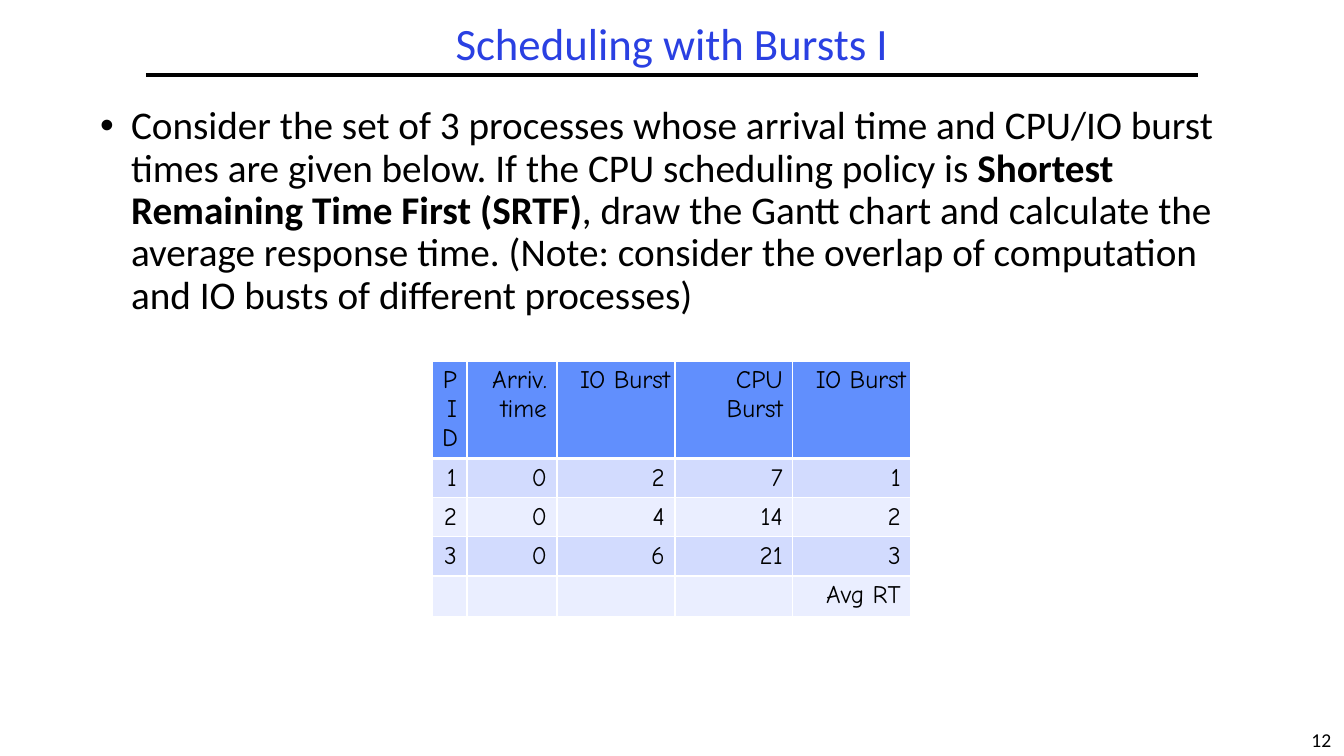
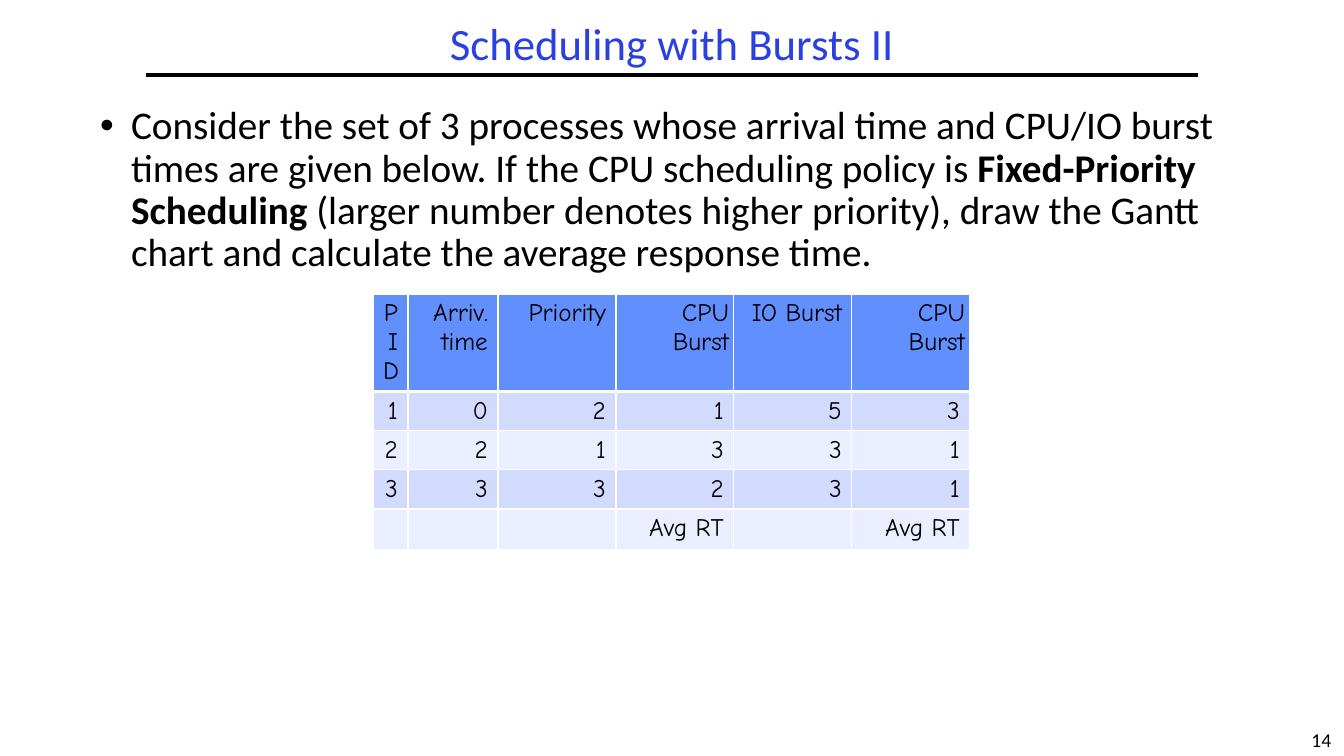
"""Two exercise slides on CPU scheduling with CPU and IO bursts."""
from lxml import etree
from pptx import Presentation
from pptx.dml.color import RGBColor
from pptx.enum.shapes import MSO_CONNECTOR
from pptx.enum.text import MSO_ANCHOR, MSO_AUTO_SIZE, PP_ALIGN
from pptx.oxml import parse_xml
from pptx.oxml.ns import nsdecls, qn
from pptx.util import Emu, Pt

SCALE = 914400 / 100.8
WIDTH, HEIGHT = 1344, 756
BLACK, WHITE, BLUE = "000000", "FFFFFF", "2A40E2"
HEADER, BANDS = "618FFD", ("EAEEFF", "D2DBFE")
COLS = [35, 90, 118, 118, 118, 118]
HEADER_H, ROW_H, TIGHT = 96, 39, 5

INTRO = ("Consider the set of 3 processes whose arrival time and CPU/IO burst "
         "times are given below. If the CPU scheduling policy is ")
SLIDES = [
    {"number": "12", "title": "Scheduling with Bursts I",
     "policy": "Shortest Remaining Time First (SRTF)",
     "task": ", draw the Gantt chart and calculate the average response time. "
             "(Note: consider the overlap of computation and IO busts of "
             "different processes)",
     "top": 361, "tight": (2, 4),
     "rows": [["PID", "Arriv. time", "IO Burst", "CPU Burst", "IO Burst"],
              ["1", "0", "2", "7", "1"],
              ["2", "0", "4", "14", "2"],
              ["3", "0", "6", "21", "3"],
              ["", "", "", "", "Avg RT"]]},
    {"number": "14", "title": "Scheduling with Bursts II",
     "policy": "Fixed-Priority Scheduling",
     "task": " (larger number denotes higher priority), draw the Gantt chart "
             "and calculate the average response time.",
     "top": 294, "tight": (3, 5),
     "rows": [["PID", "Arriv. time", "Priority", "CPU Burst", "IO Burst", "CPU Burst"],
              ["1", "0", "2", "1", "5", "3"],
              ["2", "2", "1", "3", "3", "1"],
              ["3", "3", "3", "2", "3", "1"],
              ["", "", "", "Avg RT", "", "Avg RT"]]},
]


def px(*lengths):
    return [Emu(round(n * SCALE)) for n in lengths]


def add_run(p, text, size, color=BLACK, bold=False, font="Calibri"):
    r = p.add_run()
    r.text = text
    r.font.name, r.font.size, r.font.bold = font, Pt(size), bold
    r.font.color.rgb = RGBColor.from_string(color)


prs = Presentation()
prs.slide_width, prs.slide_height = px(WIDTH, HEIGHT)
layout = prs.slide_layouts[1]

for ph, box in zip(layout.placeholders, ((146, 17, 1052, 58), (90, 101, 1165, 562))):
    ph.left, ph.top, ph.width, ph.height = px(*box)

for data in SLIDES:
    s = prs.slides.add_slide(layout)

    line = s.shapes.add_connector(MSO_CONNECTOR.STRAIGHT, *px(146, 75, 1198, 75))
    line.line.color.rgb = RGBColor.from_string(BLACK)
    line.line.width = Pt(3)
    etree.SubElement(line._element.spPr, qn("a:effectLst"))

    tf = s.shapes.title.text_frame
    tf.auto_size, tf.vertical_anchor = MSO_AUTO_SIZE.NONE, MSO_ANCHOR.MIDDLE
    p = tf.paragraphs[0]
    p.alignment, p.line_spacing = PP_ALIGN.CENTER, 0.9
    add_run(p, data["title"], 32, BLUE)

    tf = s.placeholders[1].text_frame
    tf.auto_size = MSO_AUTO_SIZE.NONE
    p = tf.paragraphs[0]
    p.line_spacing, p.space_before = 0.9, Pt(0)
    indent, = px(31)
    pPr = p._p.get_or_add_pPr()
    pPr.set("marL", str(indent))
    pPr.set("indent", str(-indent))
    add_run(p, INTRO, 28)
    add_run(p, data["policy"], 28, bold=True)
    add_run(p, data["task"], 28)

    rows = data["rows"]
    cols = COLS[:len(rows[0])]
    heights = [HEADER_H] + [ROW_H] * (len(rows) - 1)
    frame = px((WIDTH - sum(cols)) // 2, data["top"], sum(cols), sum(heights))
    table = s.shapes.add_table(len(rows), len(cols), *frame).table
    for col, width in zip(table.columns, px(*cols)):
        col.width = width
    for row, height in zip(table.rows, px(*heights)):
        row.height = height

    for i, row in enumerate(rows):
        for j, text in enumerate(row):
            cell = table.cell(i, j)
            tcPr = cell._tc.get_or_add_tcPr()
            for side in "LRTB":
                thick = (i, side) in ((0, "B"), (1, "T"))
                tcPr.append(parse_xml(
                    f'<a:ln{side} {nsdecls("a")} w="{Pt(3 if thick else 1)}"><a:solidFill>'
                    f'<a:srgbClr val="{WHITE}"/></a:solidFill></a:ln{side}>'))
            cell.fill.solid()
            cell.fill.fore_color.rgb = RGBColor.from_string(BANDS[i % 2] if i else HEADER)
            if i == 0 and j in data["tight"]:
                cell.margin_left, cell.margin_right = px(TIGHT, TIGHT)
            if text:
                p = cell.text_frame.paragraphs[0]
                p.alignment = PP_ALIGN.RIGHT
                add_run(p, text, 18, font="Comic Neue")

    tf = s.shapes.add_textbox(*px(1300, 723, 43, 33)).text_frame
    tf.word_wrap = False
    p = tf.paragraphs[0]
    p.alignment = PP_ALIGN.CENTER
    add_run(p, data["number"], 14)

prs.save("out.pptx")
